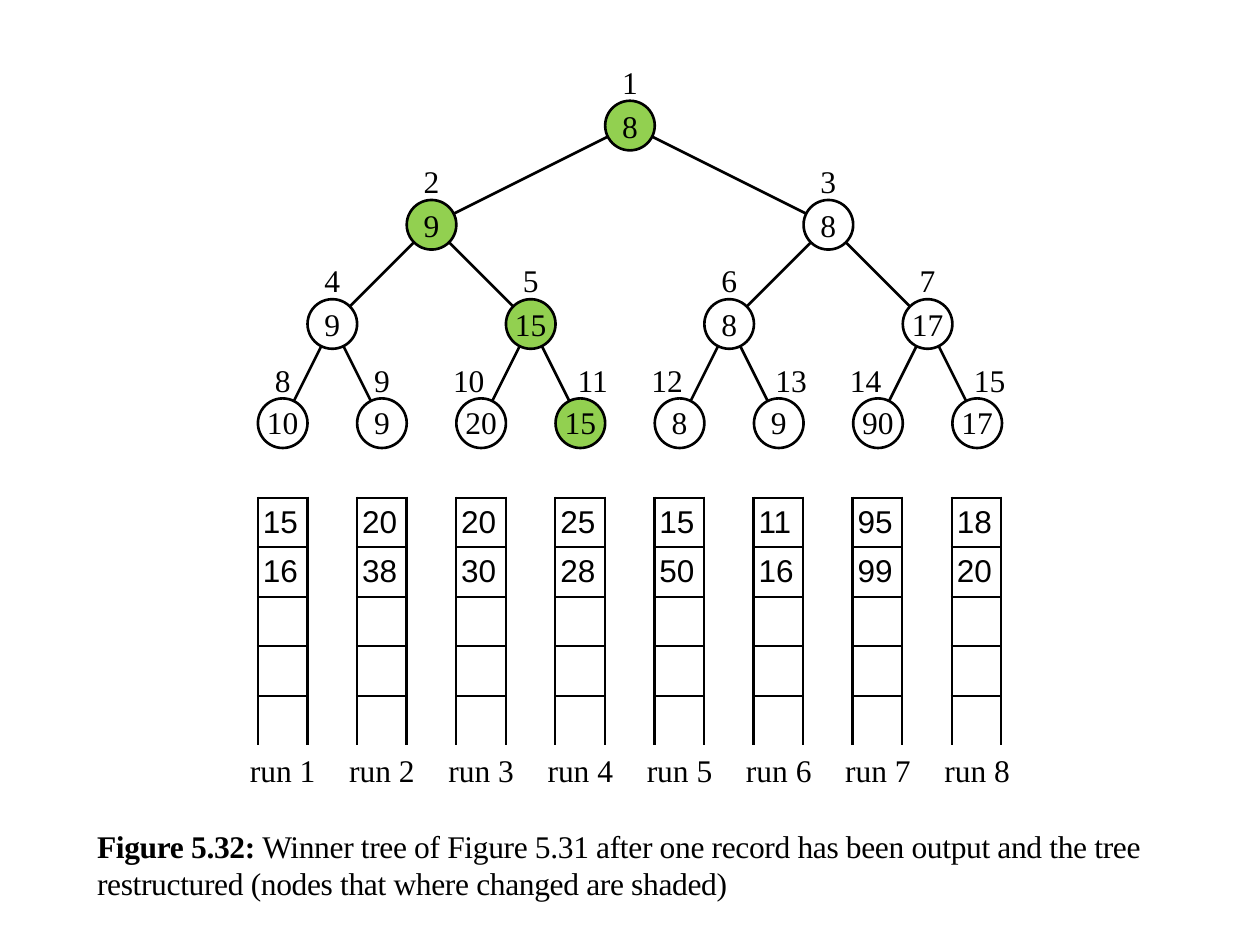
from lxml.etree import SubElement
from pptx import Presentation
from pptx.dml.color import RGBColor
from pptx.enum.shapes import MSO_CONNECTOR, MSO_SHAPE
from pptx.enum.text import MSO_ANCHOR, MSO_AUTO_SIZE, PP_ALIGN
from pptx.oxml.ns import qn
from pptx.util import Inches, Pt

LEVELS = [[8], [9, 8], [9, 15, 8, 17], [10, 9, 20, 15, 8, 9, 90, 17]]
CHANGED = {1, 2, 5, 11}
RUNS = [(15, 16), (20, 38), (20, 30), (25, 28), (15, 50), (11, 16), (95, 99), (18, 20)]
ROWS = 5
CAPTION = [
    ("Figure 5.32:", True),
    (" Winner tree of Figure 5.31 after one record has been output and the tree "
     "restructured (nodes that where changed are shaded)", False),
]
BLACK, WHITE, GREEN = "000000", "FFFFFF", "92D050"
SERIF, SANS = "Times New Roman", "Arial"
NO_STYLE = "{2D5ABB26-0587-4C30-8999-92F81FD0307C}"
UNIT = Inches(1 / 2.54)
TREE_LEFT = Inches(5) - 8 * UNIT
TREE_TOP = Inches(0.8)
TABLE_TOP = TREE_TOP + 8 * UNIT


def color(value):
    return RGBColor.from_string(value)


def format_font(font, name=SERIF):
    font.name = name
    font.size = Pt(18)
    font.color.rgb = color(BLACK)


def set_margins(target, horizontal, vertical):
    target.margin_left = target.margin_right = Inches(horizontal)
    target.margin_top = target.margin_bottom = Inches(vertical)


def write(shape, text, anchor, margins=(0, 0)):
    frame = shape.text_frame
    frame.vertical_anchor = anchor
    set_margins(frame, *margins)
    paragraph = frame.paragraphs[0]
    paragraph.text = str(text)
    paragraph.alignment = PP_ALIGN.CENTER
    format_font(paragraph.font)


def add_label(text, left, top, width, anchor, margins=(0, 0)):
    box = slide.shapes.add_textbox(left, top, width, UNIT)
    box.text_frame.word_wrap = False
    write(box, text, anchor, margins)


def add_branch(start, end):
    line = slide.shapes.add_connector(MSO_CONNECTOR.STRAIGHT, *start, *end)
    line.line.color.rgb = color(BLACK)
    line.line.width = Pt(1.5)
    SubElement(line._element.spPr, qn("a:effectLst"))


def add_node(number, value, center):
    x, y = center
    node = slide.shapes.add_shape(MSO_SHAPE.OVAL, x - UNIT // 2, y - UNIT // 2, UNIT, UNIT)
    node.shadow.inherit = False
    node.fill.solid()
    node.fill.fore_color.rgb = color(GREEN if number in CHANGED else WHITE)
    node.line.color.rgb = color(BLACK)
    node.line.width = Pt(1.5)
    write(node, value, MSO_ANCHOR.BOTTOM if number > 7 else MSO_ANCHOR.MIDDLE)


def add_number(number, center):
    left, top = center[0] - UNIT // 2, center[1] - 3 * UNIT // 2
    width = UNIT
    if number > 9:
        width = 3 * UNIT // 2
        if number % 2 == 0:
            left -= UNIT // 2
    add_label(number, left, top, width, MSO_ANCHOR.BOTTOM)


def add_borders(cell, sides):
    properties = cell._tc.get_or_add_tcPr()
    for side in sides:
        border = SubElement(properties, qn(f"a:ln{side}"), w=str(Pt(1.5)))
        fill = SubElement(border, qn("a:solidFill"))
        SubElement(fill, qn("a:srgbClr"), val=BLACK)


def add_runs_table():
    columns = 2 * len(RUNS) - 1
    table = slide.shapes.add_table(
        ROWS, columns, TREE_LEFT + UNIT // 2, TABLE_TOP, columns * UNIT, ROWS * UNIT).table
    table.first_row = table.horz_banding = False
    table._tbl.tblPr.find(qn("a:tableStyleId")).text = NO_STYLE
    for column in table.columns:
        column.width = UNIT
    for row in range(ROWS):
        table.rows[row].height = UNIT
        for column in range(columns):
            cell = table.cell(row, column)
            set_margins(cell, 0.04, 0.04)
            cell.vertical_anchor = MSO_ANCHOR.MIDDLE
            if column % 2:
                add_borders(cell, "LR")
            else:
                add_borders(cell, "LRT" if row == ROWS - 1 else "LRTB")
                values = RUNS[column // 2]
                if row < len(values):
                    cell.text = str(values[row])
            cell.fill.background()
            format_font(cell.text_frame.paragraphs[0].font, SANS)


def add_caption():
    slide.shapes.title._element.getparent().remove(slide.shapes.title._element)
    caption = slide.placeholders[1]
    caption.left, caption.top = Inches(0.67), Inches(6.51)
    caption.width, caption.height = Inches(8.66), Inches(0.79)
    caption.text_frame.auto_size = MSO_AUTO_SIZE.NONE
    paragraph = caption.text_frame.paragraphs[0]
    properties = paragraph._p.get_or_add_pPr()
    properties.set("marL", "0")
    properties.set("indent", "0")
    SubElement(properties, qn("a:buNone"))
    format_font(paragraph.font)
    for text, bold in CAPTION:
        run = paragraph.add_run()
        run.text = text
        run.font.bold = bold
        run._r.get_or_add_rPr().set("spc", "-20")


presentation = Presentation()
presentation.slide_width, presentation.slide_height = Inches(10), Inches(7.5)
slide = presentation.slides.add_slide(presentation.slide_layouts[1])

nodes = {}
for level, values in enumerate(LEVELS):
    pitch = 16 * UNIT // len(values)
    for index, value in enumerate(values):
        center = (TREE_LEFT + index * pitch + pitch // 2,
                  TREE_TOP + 2 * level * UNIT + UNIT // 2)
        nodes[len(values) + index] = (value, center)

for number, (value, center) in nodes.items():
    if number > 1:
        add_branch(nodes[number // 2][1], center)
for number, (value, center) in nodes.items():
    add_node(number, value, center)
    add_number(number, center)

add_runs_table()
for index in range(len(RUNS)):
    add_label(f"run {index + 1}", TREE_LEFT + 2 * index * UNIT, TABLE_TOP + ROWS * UNIT,
              2 * UNIT, MSO_ANCHOR.TOP, (0.08, 0.04))
add_caption()
presentation.save("out.pptx")
